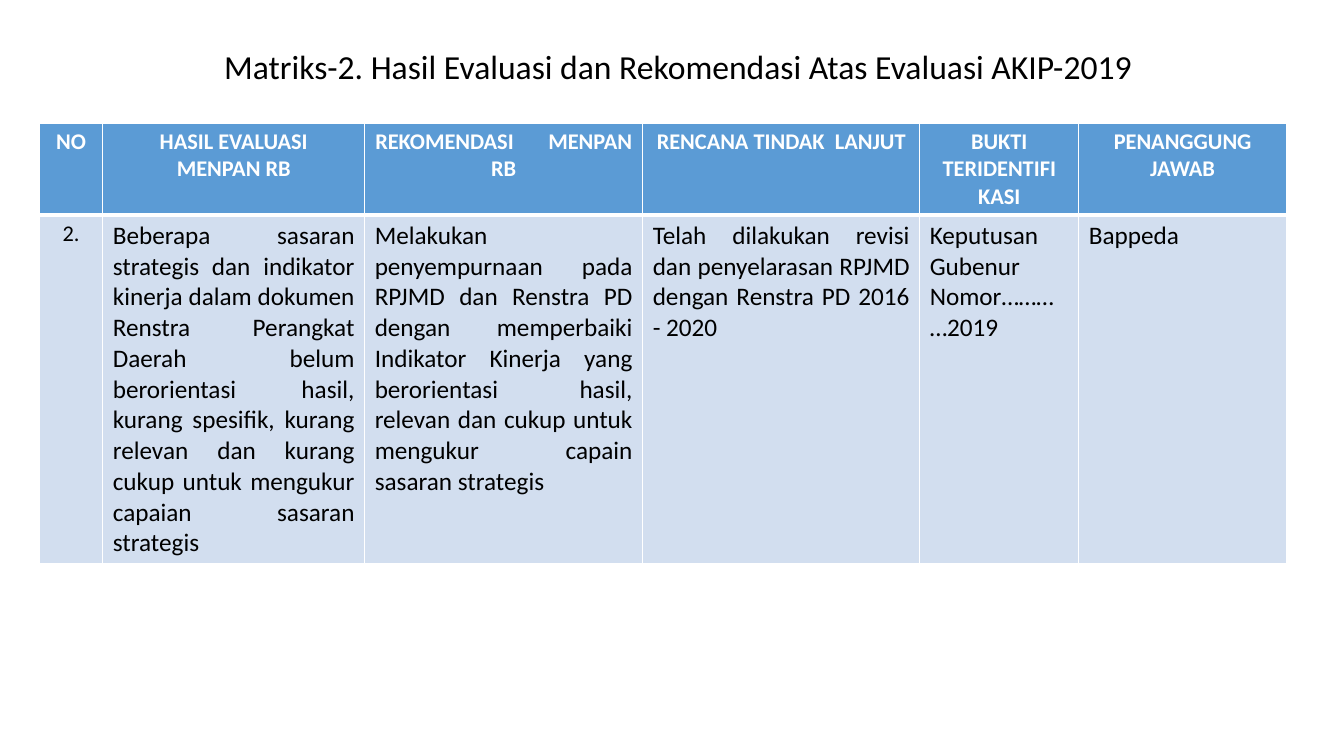
from dataclasses import dataclass

from lxml import etree
from pptx import Presentation
from pptx.dml.color import RGBColor
from pptx.enum.text import MSO_ANCHOR, PP_ALIGN
from pptx.oxml.ns import qn
from pptx.util import Inches, Pt

CENTER, JUSTIFY, LEFT = PP_ALIGN.CENTER, PP_ALIGN.JUSTIFY, PP_ALIGN.LEFT
MIDDLE = MSO_ANCHOR.MIDDLE
TITLE_ONLY = 5


@dataclass(frozen=True)
class Theme:
    font: str = "Calibri"
    ink: str = "000000"
    white: str = "FFFFFF"
    header_fill: str = "5B9BD5"
    body_fill: str = "D2DEEF"
    title_size: int = 24
    label_size: int = 16
    body_size: int = 18
    rule: float = 1
    header_rule: float = 3


THEME = Theme()

TITLE = "Matriks-2. Hasil Evaluasi dan Rekomendasi Atas Evaluasi AKIP-2019"
COLUMN_WIDTHS = [0.63, 2.6, 2.76, 2.75, 1.58, 2.06]
ROW_HEIGHTS = [0.9, 3.45]
HEADERS = [
    "NO",
    "HASIL EVALUASI\vMENPAN RB",
    "REKOMENDASI MENPAN RB",
    "RENCANA TINDAK LANJUT",
    "BUKTI TERIDENTIFI KASI",
    "PENANGGUNG JAWAB",
]
WIDE_GAPS = {"REKOMENDASI": 21, "RENCANA TINDAK": 3.6}
FINDING = [
    ("2.", CENTER, THEME.label_size),
    ("Beberapa sasaran strategis dan indikator kinerja dalam dokumen Renstra "
     "Perangkat Daerah belum berorientasi hasil, kurang spesifik, kurang relevan "
     "dan kurang cukup untuk mengukur capaian sasaran strategis",
     JUSTIFY, THEME.body_size),
    ("Melakukan penyempurnaan pada RPJMD dan Renstra PD dengan memperbaiki "
     "Indikator Kinerja yang berorientasi hasil, relevan dan cukup untuk "
     "mengukur capain sasaran strategis", JUSTIFY, THEME.body_size),
    ("Telah dilakukan revisi dan penyelarasan RPJMD dengan Renstra PD 2016 - 2020",
     JUSTIFY, THEME.body_size),
    ("Keputusan Gubenur Nomor…………2019", LEFT, THEME.body_size),
    ("Bappeda", LEFT, THEME.body_size),
]


def style_paragraph(paragraph, size, color, align, bold=False):
    paragraph.alignment = align
    font = paragraph.font
    font.name, font.size, font.bold = THEME.font, Pt(size), bold
    font.color.rgb = RGBColor.from_string(color)


def write_header(paragraph, label):
    for lead, gap in WIDE_GAPS.items():
        if label.startswith(lead):
            paragraph.add_run().text = lead
            space = paragraph.add_run()
            space.text = " "
            space.font._element.set("spc", str(round(gap * 100)))
            paragraph.add_run().text = label[len(lead) + 1:]
            return
    paragraph.text = label


def style_cell(cell, fill, bottom_rule):
    properties = cell._tc.get_or_add_tcPr()
    for side in ("lnL", "lnR", "lnT", "lnB"):
        width = bottom_rule if side == "lnB" else THEME.rule
        border = etree.SubElement(properties, qn(f"a:{side}"), w=str(Pt(width)))
        solid = etree.SubElement(border, qn("a:solidFill"))
        etree.SubElement(solid, qn("a:srgbClr"), val=THEME.white)
    cell.fill.solid()
    cell.fill.fore_color.rgb = RGBColor.from_string(fill)


def place_title(slide, left, top, width, height):
    title = slide.shapes.title
    title.left, title.top = Inches(left), Inches(top)
    title.width, title.height = Inches(width), Inches(height)
    title.text_frame.vertical_anchor = MIDDLE
    title.text_frame.text = TITLE
    style_paragraph(title.text_frame.paragraphs[0], THEME.title_size, THEME.ink, CENTER)


def place_matrix(slide, left, top, width, height):
    matrix = slide.shapes.add_table(
        len(ROW_HEIGHTS), len(COLUMN_WIDTHS),
        Inches(left), Inches(top), Inches(width), Inches(height)).table
    for column, share in zip(matrix.columns, COLUMN_WIDTHS):
        column.width = Inches(width * share / sum(COLUMN_WIDTHS))
    for row, share in zip(matrix.rows, ROW_HEIGHTS):
        row.height = Inches(height * share / sum(ROW_HEIGHTS))
    for index, (label, (finding, align, size)) in enumerate(zip(HEADERS, FINDING)):
        header, body = matrix.cell(0, index), matrix.cell(1, index)
        style_cell(header, THEME.header_fill, THEME.header_rule)
        heading = header.text_frame.paragraphs[0]
        write_header(heading, label)
        style_paragraph(heading, THEME.label_size, THEME.white, CENTER, bold=True)
        style_cell(body, THEME.body_fill, THEME.rule)
        body.text_frame.text = finding
        style_paragraph(body.text_frame.paragraphs[0], size, THEME.ink, align)


presentation = Presentation()
presentation.slide_width, presentation.slide_height = Inches(13.33), Inches(7.5)
slide = presentation.slides.add_slide(presentation.slide_layouts[TITLE_ONLY])
place_title(slide, 0.57, 0.4, 12.31, 0.51)
place_matrix(slide, 0.39, 1.22, 12.37, 4.35)
presentation.save("out.pptx")
